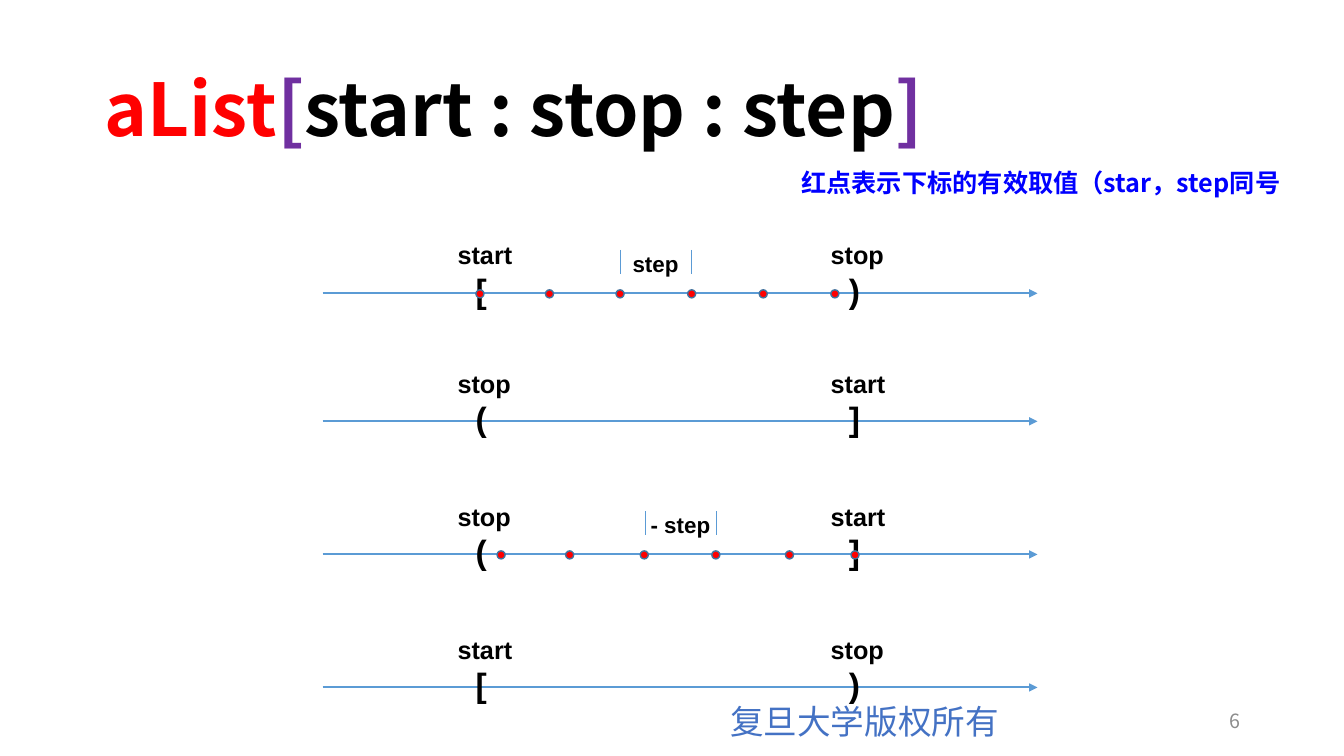
from pptx import Presentation
from pptx.dml.color import RGBColor
from pptx.enum.shapes import MSO_CONNECTOR as Conn, MSO_SHAPE as Shape
from pptx.enum.text import MSO_ANCHOR as Anchor, MSO_AUTO_SIZE as Auto, PP_ALIGN as Align
from pptx.oxml.ns import qn
from pptx.util import Inches, Pt
from lxml.etree import SubElement as Sub

CELL = Inches(0.1)  # the slide is a grid of 133.3 columns by 75 rows
SANS, CJK = "Arial", "Noto Sans CJK SC"
HUE = {"red": "FF0000", "violet": "7030A0", "black": "000000", "blue": "0000FF",
       "axis": "5B9BD5", "rim": "43739E", "foot": "4472C4", "grey": "8C8C8C"}


def grid(*cells):
    return [round(n * CELL) for n in cells]


def color(name):
    return RGBColor.from_string(HUE[name])


def style(para, size, name, hue, bold=True):
    font = para.font
    font.size, font.bold, font.name = Pt(size), bold, name
    font.color.rgb = color(hue)
    props = para._p.pPr.find(qn("a:defRPr"))
    Sub(props, qn("a:ea")).set("typeface", CJK)


def label(slide, box, text, size, name=SANS, hue="black", bold=True, wrap=False, align=Align.LEFT):
    frame = slide.shapes.add_textbox(*grid(*box)).text_frame
    frame.word_wrap = wrap
    frame.auto_size = Auto.SHAPE_TO_FIT_TEXT
    para = frame.paragraphs[0]
    para.text, para.alignment = text, align
    style(para, size, name, hue, bold)
    return frame


def rule(slide, ends, width, arrow=False):
    line = slide.shapes.add_connector(Conn.STRAIGHT, *grid(*ends))
    line.line.color.rgb, line.line.width = color("axis"), Pt(width)
    if arrow:
        Sub(line.line._get_or_add_ln(), qn("a:tailEnd")).set("type", "triangle")
    Sub(line._element.spPr, qn("a:effectLst"))


def dot(slide, x, y, size=0.8):
    mark = slide.shapes.add_shape(Shape.OVAL, *grid(x - size / 2, y - size / 2, size, size))
    mark.shadow.inherit = False
    mark.fill.solid()
    mark.fill.fore_color.rgb = color("red")
    mark.line.color.rgb, mark.line.width = color("rim"), Pt(1)


def axis(slide, box, marks, dots=(), step="", gap=0, wide=0):
    """Number line along y; dots and gap count from its left end x."""
    x, y, width = box
    rule(slide, (x, y, x + width, y), 1.5, arrow=True)
    # Interval ends with their brackets
    for (word, sign), left in zip(marks, (12.4, 49.4)):
        label(slide, (x + left, y - 5.8, 7.5, 4), word, 18)
        label(slide, (x + left + 1.8, y - 2.85, 3.1, 5.1), sign, 24)
    # Valid index values
    for place in dots:
        dot(slide, x + place, y + 0.05)
    # Step between two ticks
    if step:
        span = 7.1
        for tick in (x + gap, x + gap + span):
            rule(slide, (tick, y - 4.3, tick, y - 1.9), 0.5)
        label(slide, (x + gap + (span - wide) / 2, y - 4.75, wide, 3.7), step, 16)


def heading(slide, box):
    title = slide.shapes.title
    title.left, title.top, title.width, title.height = grid(*box)
    frame = title.text_frame
    frame.vertical_anchor, frame.word_wrap = Anchor.MIDDLE, True
    frame.margin_left = frame.margin_right = Inches(0.12)
    frame.margin_top = frame.margin_bottom = Inches(0.06)
    para = frame.paragraphs[0]
    para.alignment, para.line_spacing = Align.LEFT, 0.9
    for text, hue in (("aList", "red"), ("[", "violet"),
                      ("start : stop : step", "black"), ("]", "violet")):
        run = para.add_run()
        run.text, run.font.color.rgb = text, color(hue)
    style(para, 52, CJK, "black")


def footer(slide, box):
    x, y, width, height = box
    label(slide, (x, y, 28.9, 5), "复旦大学版权所有", 24, hue="foot", bold=False, align=Align.CENTER)
    num = label(slide, (x + width - 30, y + 0.5, 30, height), "6", 14, CJK, "grey", False, True, Align.RIGHT)
    num.vertical_anchor = Anchor.MIDDLE
    num.margin_left = num.margin_right = Inches(0.12)


def main():
    deck = Presentation()
    deck.slide_width, deck.slide_height = Inches(13.33), Inches(7.5)
    slide = deck.slides.add_slide(deck.slide_layouts[5])
    heading(slide, (9.2, 4, 115, 14.5))
    label(slide, (78.5, 16.1, 50.4, 4), "红点表示下标的有效取值（star，step同号", 18, CJK, "blue", wrap=True)

    # Four slices: forward and backward
    ahead = (("start", "["), ("stop", ")"))
    back = (("stop", "("), ("start", "]"))
    left, width = 32, 70.9
    axis(slide, (left, 29.1, width), ahead, (15.6, 22.5, 29.5, 36.6, 43.7, 50.8), "step", 29.5, 6.6)
    axis(slide, (left, 41.8, width), back)
    axis(slide, (left, 55, width), back, (17.7, 24.5, 31.9, 39, 46.3, 52.8), "- step", 32, 8)
    axis(slide, (left, 68.2, width), ahead)

    footer(slide, (71.3, 69, 52.9, 4))
    deck.save("out.pptx")


if __name__ == "__main__":
    main()
